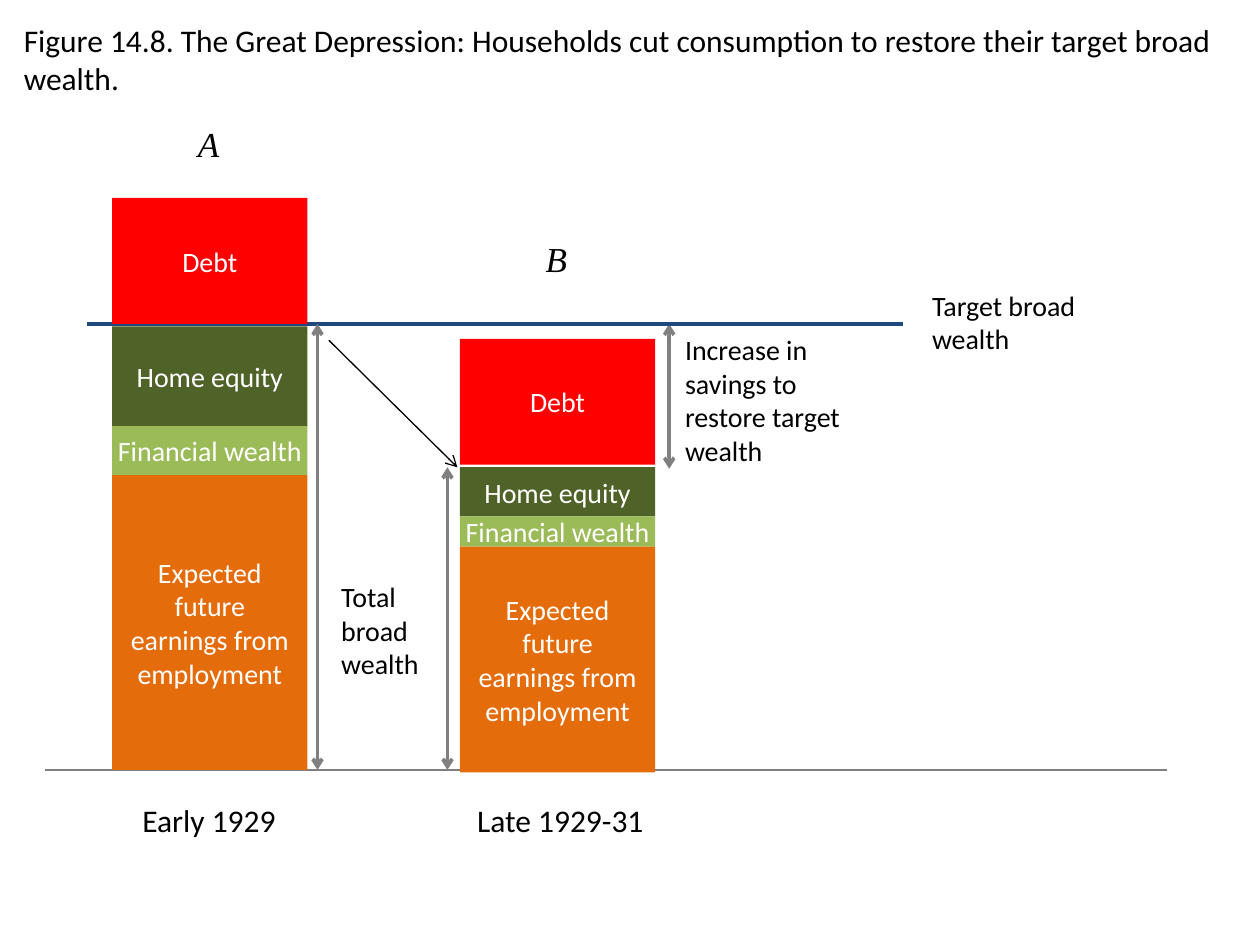
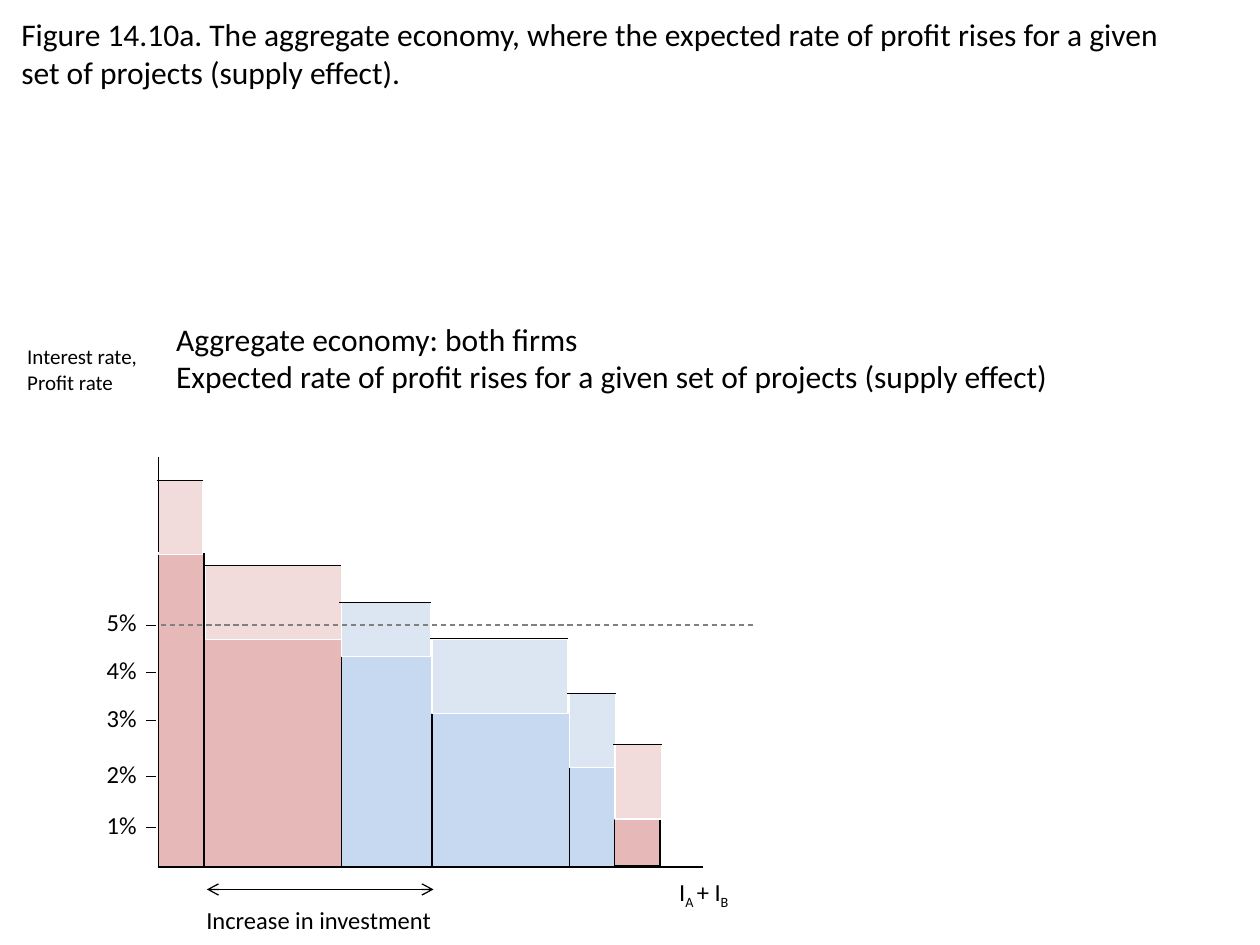
"""Build two economics figures: household wealth and aggregate investment."""
from itertools import accumulate

from lxml import etree
from pptx import Presentation
from pptx.dml.color import RGBColor
from pptx.enum.dml import MSO_LINE
from pptx.enum.shapes import MSO_CONNECTOR, MSO_SHAPE
from pptx.enum.text import MSO_ANCHOR, MSO_AUTO_SIZE, PP_ALIGN
from pptx.oxml.ns import qn
from pptx.util import Cm, Pt

STRAIGHT = MSO_CONNECTOR.STRAIGHT
RECT = MSO_SHAPE.RECTANGLE
CENTER, LEFT = PP_ALIGN.CENTER, PP_ALIGN.LEFT
MIDDLE = MSO_ANCHOR.MIDDLE
FIT = MSO_AUTO_SIZE.SHAPE_TO_FIT_TEXT
DASH = MSO_LINE.DASH

COLORS = {
    "black": "000000", "white": "FFFFFF", "gray": "808080", "ground": "7F7F7F",
    "target": "1F497D", "debt": "FF0000", "home": "4F6228", "financial": "9BBB59",
    "earnings": "E46C0A", "firm_a": "E6B9B8", "firm_b": "C6D9F1",
    "gain_a": "F2DCDB", "gain_b": "DCE6F2",
}


def rgb(name):
    return RGBColor.from_string(COLORS[name])


class Deck:
    def __init__(self):
        self.prs = Presentation()
        self.prs.slide_width, self.prs.slide_height = Cm(25.4), Cm(19.05)
        self.slide = None

    def new_slide(self, title, x, y, w):
        self.slide = self.prs.slides.add_slide(self.prs.slide_layouts[6])
        self.text(title, x, y, w, 1.8)

    def style(self, tf, size, color="black", align=LEFT, font="Calibri", italic=False):
        for p in tf.paragraphs:
            p.alignment = align
            for r in p.runs:
                r.font.name, r.font.size, r.font.italic = font, Pt(size), italic
                r.font.color.rgb = rgb(color)

    def text(self, text, x, y, w, h, size=18, wrap=True, **style):
        sp = self.slide.shapes.add_textbox(Cm(x), Cm(y), Cm(w), Cm(h))
        tf = sp.text_frame
        tf.text = text
        tf.word_wrap, tf.auto_size = wrap, FIT
        self.style(tf, size, **style)
        return tf

    def subscripted(self, parts, x, y, w, h, size):
        tf = self.text("", x, y, w, h, wrap=False)
        for part, is_sub in parts:
            r = tf.paragraphs[0].add_run()
            r.text = part
            if is_sub:
                r.font._element.set("baseline", "-25000")
        self.style(tf, size)

    def rect(self, x, y, w, h, fill, line=None, text="", margins=None):
        sp = self.slide.shapes.add_shape(RECT, Cm(x), Cm(y), Cm(w), Cm(h))
        sp.shadow.inherit = False
        sp.fill.solid()
        sp.fill.fore_color.rgb = rgb(fill)
        if line:
            sp.line.color.rgb, sp.line.width = rgb(line), Pt(0.75)
        else:
            sp.line.fill.background()
        if text:
            tf = sp.text_frame
            tf.text = text
            tf.word_wrap, tf.vertical_anchor = True, MIDDLE
            if margins is not None:
                tf.margin_left = tf.margin_right = 0
                tf.margin_top = tf.margin_bottom = Cm(margins)
            self.style(tf, 16, "white", CENTER)

    def line(self, x1, y1, x2, y2, color="black", width=0.5, ends=(), dash=None):
        sp = self.slide.shapes.add_connector(STRAIGHT, Cm(x1), Cm(y1), Cm(x2), Cm(y2))
        sp.line.color.rgb, sp.line.width = rgb(color), Pt(width)
        if dash:
            sp.line.dash_style = dash
        ln = sp.line._get_or_add_ln()
        for end in ends:
            etree.SubElement(ln, qn(f"a:{end}"), type="arrow")
        etree.SubElement(sp._element.spPr, qn("a:effectLst"))

    def double_arrow(self, x1, y1, x2, y2, color="gray", width=2):
        self.line(x1, y1, x2, y2, color, width, ("headEnd", "tailEnd"))

    def border(self, cell, sides):
        tcPr = cell._tc.get_or_add_tcPr()
        for i, side in enumerate("LRTB"):
            ln = etree.Element(qn(f"a:ln{side}"), w=str(Pt(1)))
            if side in sides:
                fill = etree.SubElement(ln, qn("a:solidFill"))
                etree.SubElement(fill, qn("a:srgbClr"), val=COLORS["black"])
            else:
                etree.SubElement(ln, qn("a:noFill"))
            tcPr.insert(i, ln)

    def staircase(self, x, y, widths, row_h, fills):
        n = len(widths)
        frame = self.slide.shapes.add_table(
            n, n, Cm(x), Cm(y), Cm(sum(widths)), Cm(row_h * n))
        table = frame.table
        table.first_row = table.horz_banding = False
        for i, w in enumerate(widths):
            table.columns[i].width = Cm(w)
            table.rows[i].height = Cm(row_h)
        for r in range(n):
            for c in range(n):
                cell = table.cell(r, c)
                if c <= r:
                    cell.fill.solid()
                    cell.fill.fore_color.rgb = rgb(fills[c])
                    sides = "LR" + "T" * (r == c) + "B" * (r == n - 1)
                else:
                    cell.fill.background()
                    sides = "LB" if c == r + 1 else ""
                self.border(cell, sides)
        for i in range(n - 1):
            table.cell(i, i).merge(table.cell(n - 1, i))
            if i < n - 2:
                table.cell(i, i + 1).merge(table.cell(i, n - 1))

    def wealth_stack(self, x, top, heights, margins):
        parts = (("Debt", "debt", None), ("Home equity", "home", None),
                 ("Financial wealth", "financial", margins),
                 ("Expected future earnings from employment", "earnings", None))
        tops = accumulate(heights, initial=top)
        for (text, fill, margin), y, h in zip(parts, tops, heights):
            gap = 0.05 if fill == "debt" else 0
            self.rect(x, y, 3.94, h - gap, fill, text=text, margins=margin)


def depression_slide(deck):
    deck.new_slide("Figure 14.8. The Great Depression: Households cut consumption "
                   "to restore their target broad wealth.", 0.23, 0.3, 25.17)
    ground, target, late_top = 15.52, 6.53, 9.42
    deck.line(0.91, ground, 23.52, ground, "ground", 1.5)
    deck.text("Increase in savings to restore target wealth", 13.56, 6.58, 3.81, 3, 16)
    deck.double_arrow(13.49, target, 13.49, 9.45)
    deck.line(1.75, target, 18.21, target, "target", 2.25)
    deck.wealth_stack(2.26, 3.99, (2.59, 2.01, 0.99, 5.94), 0.13)
    deck.wealth_stack(9.27, 6.83, (2.59, 0.99, 0.61, 4.55), 0)
    for letter, x, y in (("A", 2.21, 2.34), ("B", 9.22, 4.67)):
        deck.text(letter, x, y, 3.99, 1.12, 20, align=CENTER,
                  font="Times New Roman", italic=True)
    for period, x, w in (("Early 1929", 2.62, 3.23), ("Late 1929-31", 9.37, 3.91)):
        deck.text(period, x, 16.03, w, 1.02, wrap=False)
    deck.text("Target broad\nwealth", 18.54, 5.69, 3.51, 1.63, 16, wrap=False)
    deck.text("Total broad\nwealth", 6.63, 11.56, 2.39, 2.31, 16)
    deck.double_arrow(6.4, target, 6.4, ground)
    deck.double_arrow(9.02, late_top, 9.02, ground)
    deck.line(6.63, 6.86, 9.22, late_top, width=0.75, ends=("tailEnd",))


def investment_slide(deck):
    deck.new_slide("Figure 14.10a. The aggregate economy, where the expected rate of "
                   "profit rises for a given set of projects (supply effect).",
                   0.18, 0.18, 24.26)
    deck.text("Aggregate economy: both firms\nExpected rate of profit rises for a "
              "given set of projects (supply effect)", 3.3, 6.32, 18.31, 1.8, wrap=False)
    deck.text("Interest rate,\nProfit rate", 0.3, 6.81, 2.84, 1.27, 12, wrap=False)

    firms = "aabbba"
    deck.staircase(3.2, 10.85, (0.91, 2.77, 1.83, 2.77, 0.91, 0.91), 1.1,
                   [f"firm_{firm}" for firm in firms])
    gains = ((3.2, 9.68, 0.89, 1.5), (4.14, 11.4, 2.74, 1.5), (6.88, 12.14, 1.8, 1.09),
             (8.71, 12.88, 2.74, 1.5), (11.48, 13.97, 0.94, 1.5),
             (12.4, 15.01, 0.94, 1.5))
    for x, y, w, h in gains:
        deck.rect(x + 0.03, y - 0.05, w + 0.05, h, "white", "white")
    for (x, y, w, h), firm in zip(gains, firms):
        deck.rect(x, y, w, h, f"gain_{firm}", "white")
    for x, y, w, h in gains:
        deck.line(x - 0.04, y, x + w, y)

    deck.line(3.18, 17.48, 14.17, 17.48, width=1)
    deck.line(3.2, 9.22, 3.2, 11.13)
    for rate, y in zip(range(5, 0, -1), (12.6, 13.56, 14.53, 15.65, 16.69)):
        deck.text(f"{rate}%", 1.9, y - 0.48, 1.12, 0.86, 14, wrap=False)
        deck.line(2.95, y, 3.15, y)
    deck.line(3.25, 12.6, 15.21, 12.6, "gray", 0.75, dash=DASH)
    deck.double_arrow(4.17, 17.93, 8.74, 17.93, "black", 0.75)
    deck.text("Increase in investment", 3.91, 18.11, 5.08, 0.86, 14, wrap=False)
    deck.subscripted((("I", False), ("A ", True), ("+ I", False), ("B", True)),
                     13.44, 17.55, 1.57, 0.86, 14)


def main():
    deck = Deck()
    depression_slide(deck)
    investment_slide(deck)
    deck.prs.save("out.pptx")


if __name__ == "__main__":
    main()
